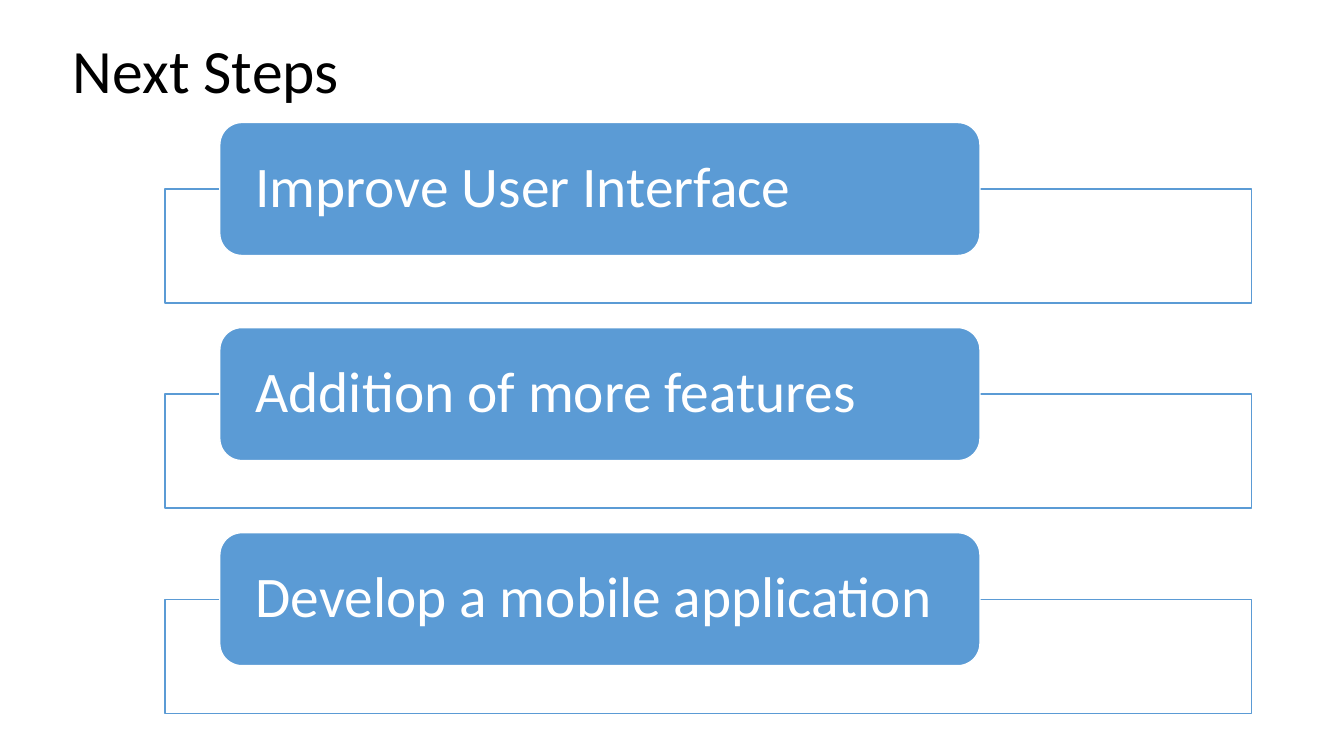
from lxml.etree import SubElement
from pptx import Presentation
from pptx.dml.color import RGBColor
from pptx.enum.shapes import MSO_SHAPE as Shape
from pptx.enum.text import MSO_ANCHOR as Anchor, PP_ALIGN as Align
from pptx.oxml.ns import qn
from pptx.util import Pt

COLORS = {"blue": "5B9BD5", "white": "FFFFFF", "black": "000000"}
STEPS = [
    "Improve User Interface",
    "Addition of more features",
    "Develop a mobile application",
]


def color(name):
    return RGBColor.from_string(COLORS[name])


def write(shape, text, size, ink, inset=7.2, inset_y=3.6, space_after=0):
    frame = shape.text_frame
    frame.word_wrap = True
    frame.vertical_anchor = Anchor.MIDDLE
    frame.margin_left = frame.margin_right = Pt(inset)
    frame.margin_top = frame.margin_bottom = Pt(inset_y)
    paragraph = frame.paragraphs[0]
    paragraph.alignment = Align.LEFT
    paragraph.line_spacing = 0.9
    paragraph.space_after = Pt(space_after)
    run = paragraph.add_run()
    run.text = text
    run.font.name = "Calibri"
    run.font.size = Pt(size)
    run.font.color.rgb = color(ink)


deck = Presentation()
deck.slide_width, deck.slide_height = Pt(960), Pt(540)
slide = deck.slides.add_slide(deck.slide_layouts[6])

# Title
title = slide.shapes.add_textbox(Pt(45), Pt(0), Pt(828), Pt(104.4))
write(title, "Next Steps", size=44, ink="black")

# Steps: each label starts half its height above its frame
FIRST_TOP, PITCH, LABEL_HEIGHT = 87.5, 146.5, 95

for index, step in enumerate(STEPS):
    top = FIRST_TOP + index * PITCH
    step_frame = slide.shapes.add_shape(
        Shape.RECTANGLE, Pt(118), Pt(top + LABEL_HEIGHT / 2), Pt(776), Pt(81.5))
    label = slide.shapes.add_shape(
        Shape.ROUNDED_RECTANGLE, Pt(157), Pt(top), Pt(543), Pt(LABEL_HEIGHT))

    for part, fill, line in ((step_frame, "white", "blue"), (label, "blue", "white")):
        part.shadow.inherit = False
        part.fill.solid()
        part.fill.fore_color.rgb = color(fill)
        part.line.color.rgb = color(line)
        part.line.width = Pt(1)

    # Frame fill is 90% opaque
    frame_color = step_frame.fill._xPr.find(qn("a:solidFill"))[0]
    SubElement(frame_color, qn("a:alpha"), val="90000")

    write(label, step, size=41, ink="white", inset=20.9, inset_y=0, space_after=14.35)

deck.save("out.pptx")
